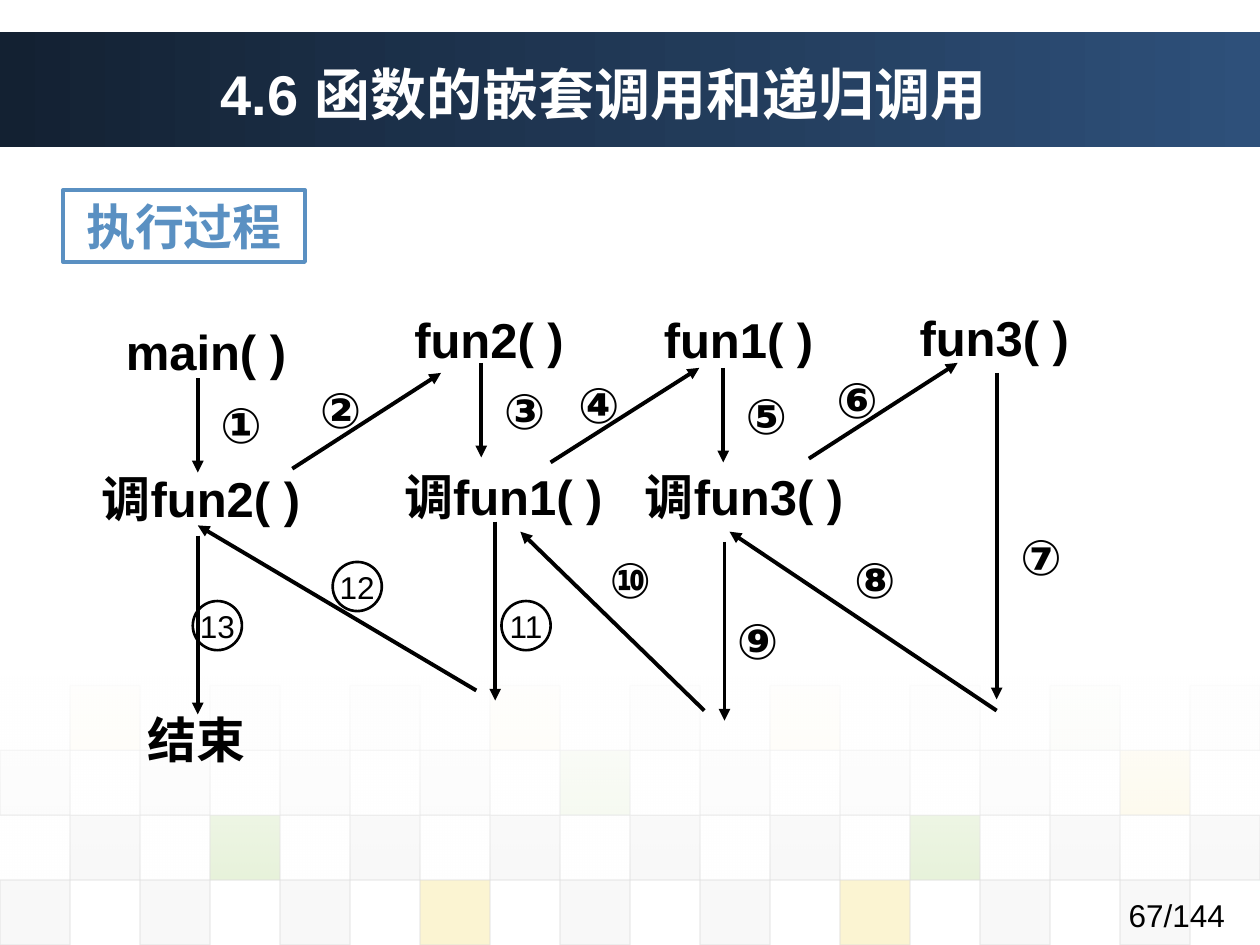
from dataclasses import dataclass
from itertools import product

from pptx import Presentation
from pptx.dml.color import RGBColor
from pptx.enum.shapes import MSO_CONNECTOR as Connector, MSO_SHAPE as Shape
from pptx.enum.text import MSO_ANCHOR as Anchor, MSO_AUTO_SIZE as AutoSize, PP_ALIGN as Align
from pptx.oxml import parse_xml
from pptx.oxml.ns import nsdecls, qn
from pptx.util import Inches, Pt


@dataclass(frozen=True)
class Theme:
    font: str = "Arial"
    ink: str = "000000"
    white: str = "FFFFFF"
    accent: str = "5A90C2"
    band_start: str = "132132"
    band_end: str = "2E507A"
    tile_line: str = "DDDDDD"
    title_size: int = 32
    label_size: int = 28
    small_size: int = 18
    arrow_width: float = 2.25
    ring_width: float = 1.5
    tile_width: float = 0.75


THEME = Theme()
TILE_COLOURS = {"D": "DDDDDD", "E": "EAEAEA", "G": "8AC246", "Y": "EFC821"}
TILE_ROWS = [
    (".Y.E.E.Y.D.Y.E.G.E", 5),
    ("D.D.D.D.G.D.D.D.Y.", 10),
    (".D.G.D.D.D.D.G.D.D", 20),
    ("D.D.D.Y.D.D.Y.D.D.", 20),
]
CALLS = [
    ("main( )", 0.9, 2.5, 1.58),
    ("fun2( )", 3.19, 2.41, 1.6),
    ("fun1( )", 5.17, 2.41, 1.6),
    ("fun3( )", 7.2, 2.39, 1.92),
    ("调fun2( )", 0.71, 3.67, 2.2),
    ("调fun1( )", 3.11, 3.65, 2.2),
    ("调fun3( )", 5.02, 3.65, 2.2),
    ("结束", 1.07, 5.58, 1.17),
]
STEPS = [
    ("①", 1.65, 3.08), ("②", 2.44, 2.96), ("③", 3.9, 2.97), ("④", 4.49, 2.92),
    ("⑤", 5.82, 3.01), ("⑥", 6.54, 2.88), ("⑦", 8, 4.13), ("⑧", 6.68, 4.31),
    ("⑨", 5.75, 4.8), ("⑩", 4.74, 4.31),
]
RINGS = [("11", 3.98, 4.77), ("12", 2.64, 4.46), ("13", 1.53, 4.77)]
ARROWS = [
    (1.57, 3, 1.57, 3.75),
    (2.32, 3.72, 3.5, 2.96),
    (3.82, 2.88, 3.82, 3.63),
    (4.37, 3.67, 5.55, 2.92),
    (5.74, 2.92, 5.74, 3.67),
    (6.42, 3.64, 7.6, 2.88),
    (7.91, 2.96, 7.91, 5.55),
    (7.91, 5.64, 5.79, 4.22),
    (5.75, 4.3, 5.75, 5.72),
    (5.59, 5.64, 4.13, 4.22),
    (3.93, 4.14, 3.93, 5.56),
    (3.78, 5.48, 1.57, 4.17),
    (1.57, 4.25, 1.57, 5.67),
]


def set_alpha(fill_element, percents):
    for colour, percent in zip(fill_element.iter(qn("a:srgbClr")), percents):
        colour.append(parse_xml(f'<a:alpha {nsdecls("a")} val="{percent * 1000}"/>'))


def write(box, text, size, colour, bold=True, align=Align.LEFT):
    para = box.text_frame.paragraphs[0]
    para.alignment = align
    span = para.add_run()
    span.text = text
    span.font.name = THEME.font
    span.font.size = Pt(size)
    span.font.bold = bold
    span.font.color.rgb = RGBColor.from_string(colour)


def add_shape(page, kind, left, top, width, height, line=None, line_width=0):
    shape = page.shapes.add_shape(kind, Inches(left), Inches(top), Inches(width), Inches(height))
    shape.shadow.inherit = False
    shape.fill.background()
    if line:
        shape.line.color.rgb = RGBColor.from_string(line)
        shape.line.width = Pt(line_width)
    else:
        shape.line.fill.background()
    return shape


def add_gradient(page, top, height, colours, angle, alphas=()):
    shape = add_shape(page, Shape.RECTANGLE, 0, top, 10, height)
    shape.fill.gradient()
    shape.fill.gradient_angle = angle
    for stop, colour in zip(shape.fill.gradient_stops, colours):
        stop.color.rgb = RGBColor.from_string(colour)
    set_alpha(shape._element.spPr.find(qn("a:gradFill")), alphas)


def add_mosaic(page):
    pitch_x, pitch_y = 10 / 18, 0.515
    for row, column in product(range(len(TILE_ROWS)), range(18)):
        codes, alpha = TILE_ROWS[row]
        if codes[column] == ".":
            continue
        tile = add_shape(page, Shape.RECTANGLE, column * pitch_x, 5.44 + row * pitch_y,
                         pitch_x, pitch_y, THEME.tile_line, THEME.tile_width)
        tile.fill.solid()
        tile.fill.fore_color.rgb = RGBColor.from_string(TILE_COLOURS[codes[column]])
        set_alpha(tile._element.spPr, (alpha, 60))


def add_label(page, text, left, top, width, size=THEME.label_size, bold=True):
    box = page.shapes.add_textbox(Inches(left), Inches(top), Inches(width), Inches(0.57))
    box.text_frame.word_wrap = True
    write(box, text, size, THEME.ink, bold)


def add_ring(page, text, left, top):
    ring = add_shape(page, Shape.OVAL, left, top, 0.39, 0.39, THEME.ink, THEME.ring_width)
    ring.text_frame.word_wrap = False
    ring.text_frame.vertical_anchor = Anchor.MIDDLE
    write(ring, text, THEME.small_size, THEME.ink, False, Align.CENTER)


def add_arrow(page, *ends):
    arrow = page.shapes.add_connector(Connector.STRAIGHT, *map(Inches, ends))
    arrow.line.color.rgb = RGBColor.from_string(THEME.ink)
    arrow.line.width = Pt(THEME.arrow_width)
    arrow.line._get_or_add_ln().append(parse_xml(f'<a:tailEnd {nsdecls("a")} type="triangle"/>'))
    arrow._element.spPr.append(parse_xml(f'<a:effectLst {nsdecls("a")}/>'))


def add_title(page, text):
    title = page.shapes.title
    title.left, title.top, title.width, title.height = map(Inches, (1.65, 0.28, 7.96, 0.92))
    title.text_frame.auto_size = AutoSize.NONE
    title.text_frame.vertical_anchor = Anchor.MIDDLE
    write(title, text, THEME.title_size, THEME.white)
    page.shapes._spTree.append(title._element)


def add_heading(page, text):
    heading = add_shape(page, Shape.RECTANGLE, 0.5, 1.51, 1.92, 0.57,
                        THEME.accent, THEME.arrow_width)
    heading.text_frame.vertical_anchor = Anchor.MIDDLE
    write(heading, text, THEME.label_size, THEME.accent, align=Align.CENTER)


def main():
    deck = Presentation()
    deck.slide_width, deck.slide_height = Inches(10), Inches(7.5)
    page = deck.slides.add_slide(deck.slide_layouts[5])
    add_gradient(page, 0.25, 0.92, (THEME.band_start, THEME.band_end), 0)
    add_mosaic(page)
    add_gradient(page, 5.37, 1.62, (THEME.white, THEME.white), 270, (90, 0))
    add_label(page, "67/144", 8.86, 7.06, 1.1, THEME.small_size, False)
    add_title(page, "4.6 函数的嵌套调用和递归调用")
    add_heading(page, "执行过程")
    for call in CALLS:
        add_label(page, *call)
    for arrow in ARROWS:
        add_arrow(page, *arrow)
    for step in STEPS:
        add_label(page, *step, 0.65)
    for ring in RINGS:
        add_ring(page, *ring)
    deck.save("out.pptx")


if __name__ == "__main__":
    main()
